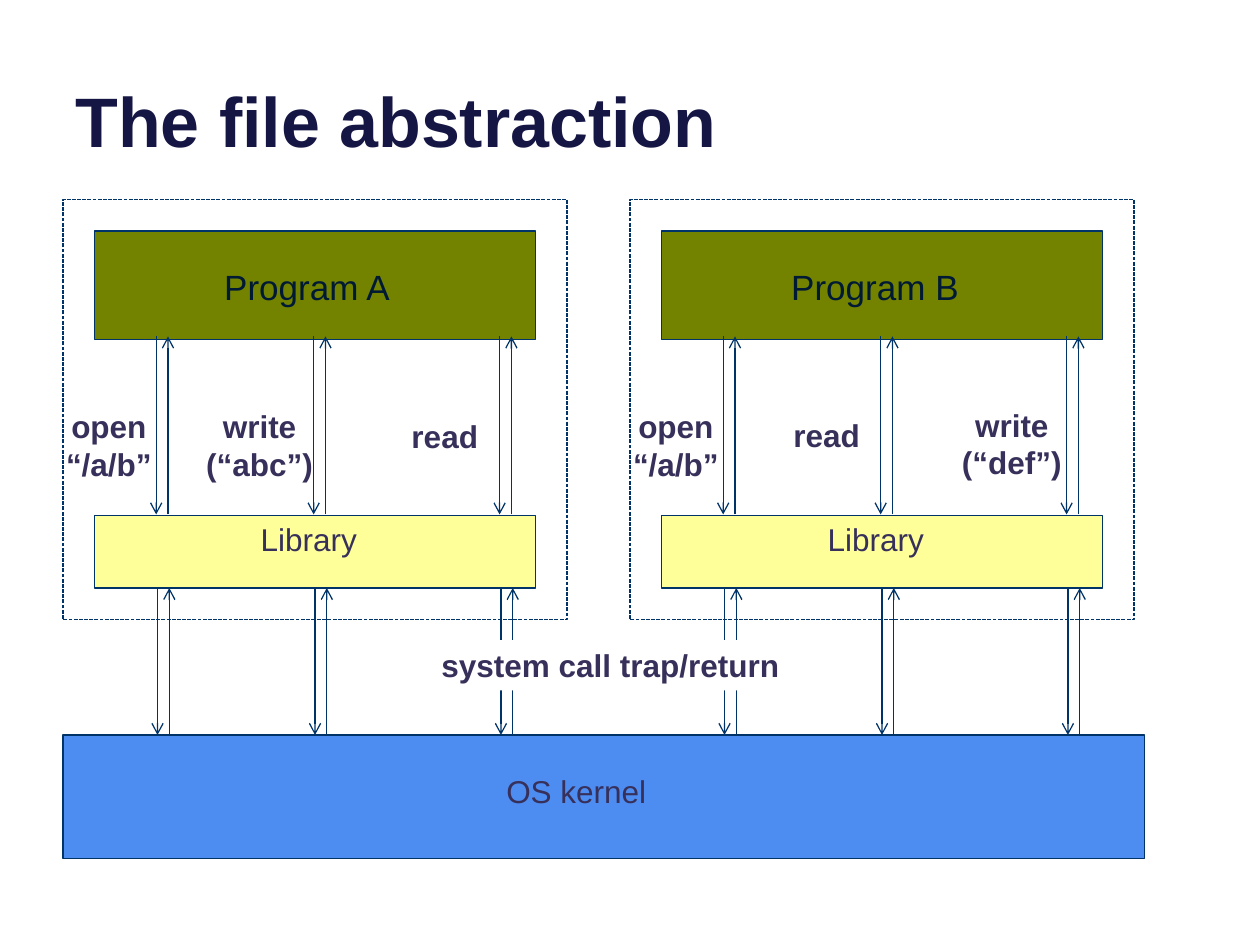
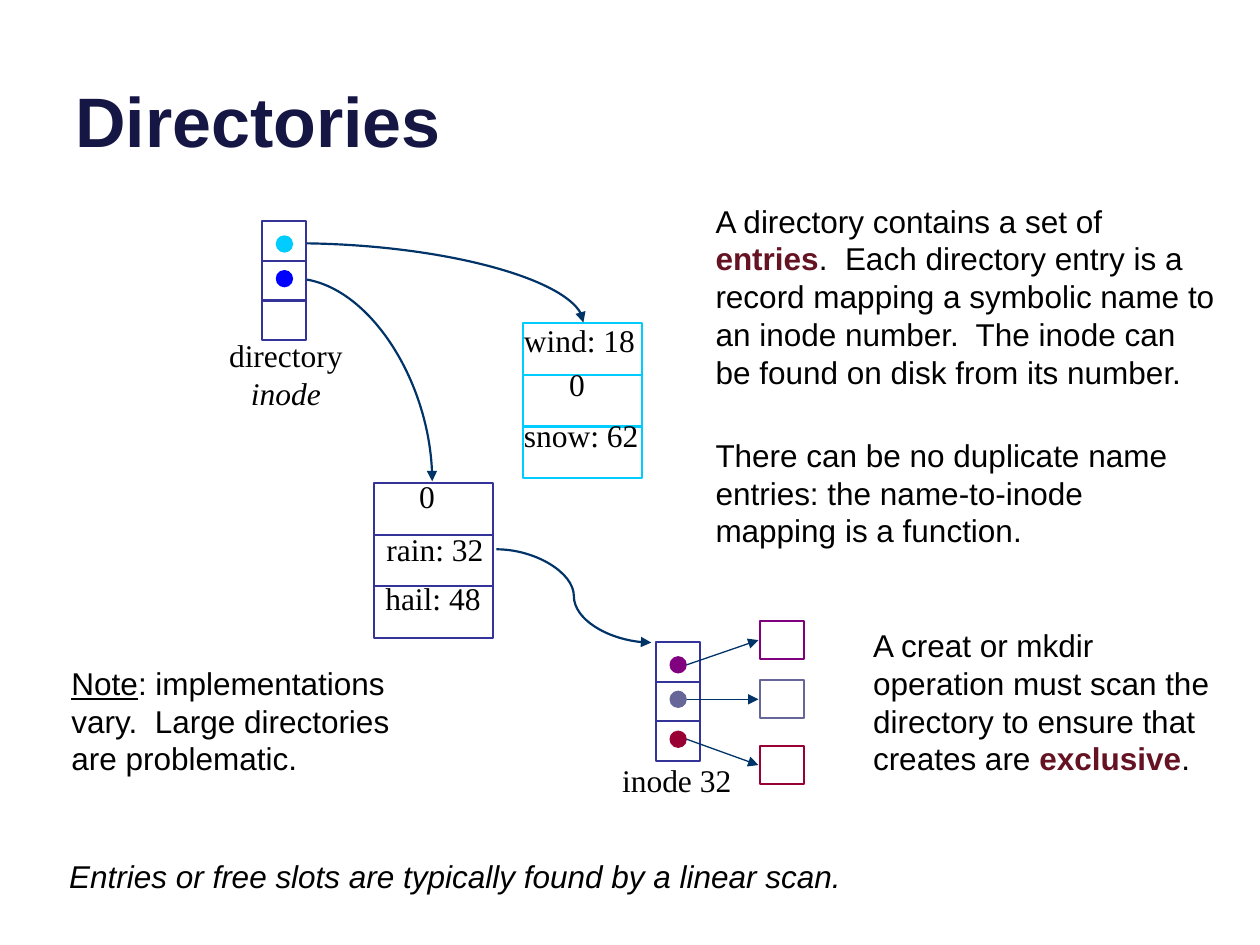
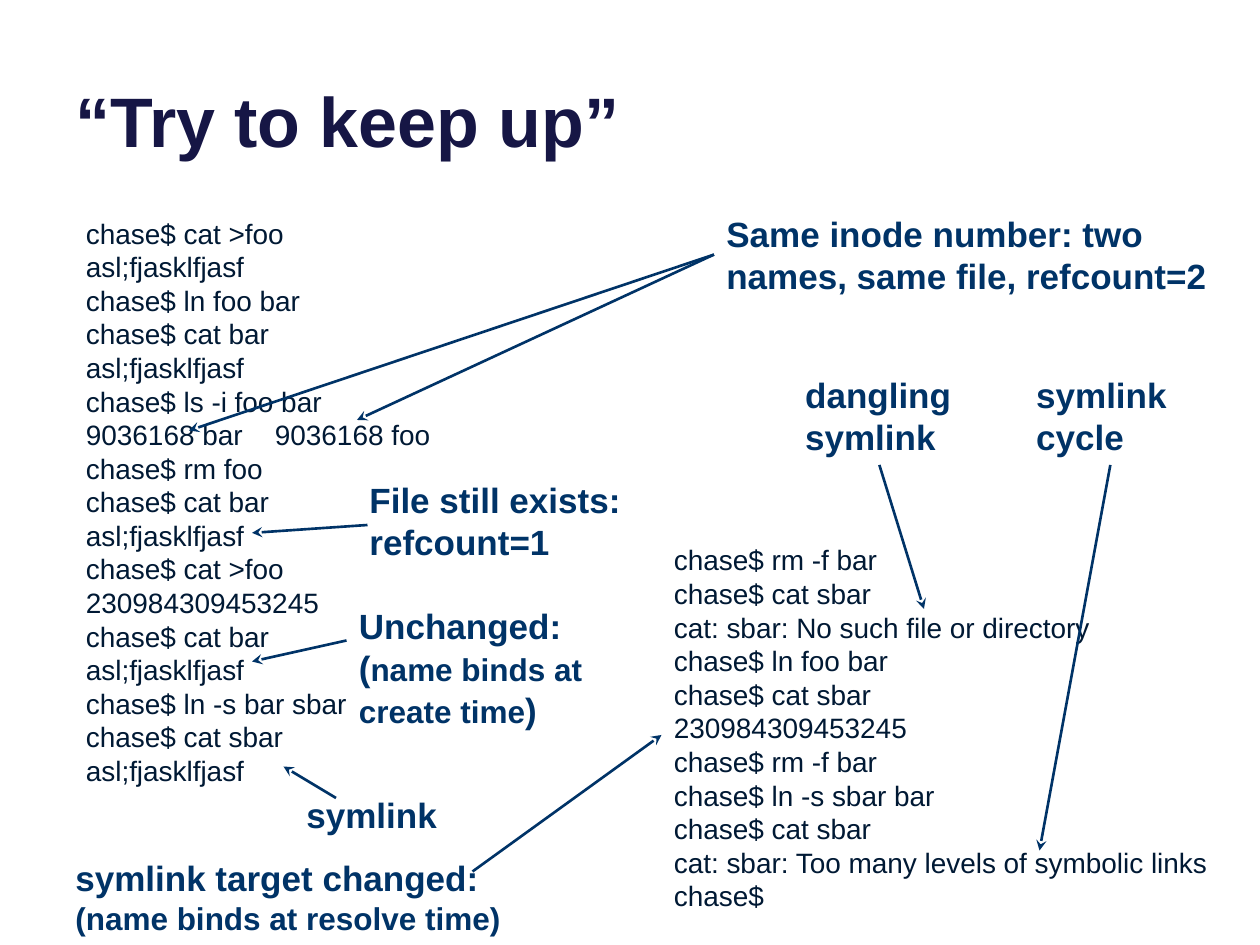
from typing import NamedTuple, Optional

from lxml import etree
from pptx import Presentation
from pptx.dml import color as dml_color
from pptx.enum import dml, shapes, text
from pptx.oxml import ns
from pptx.util import Pt

# Shared look
NAVY, TITLE, INK, LABEL = "003367", "161645", "001934", "37305A"
BLACK, WHITE, EMPHASIS = "000000", "FFFFFF", "651222"
OLIVE, YELLOW, BLUE = "738300", "FFFF99", "4D8CF1"
INDIGO, CYAN = "333399", "00CCFF"
SANS, SERIF = "Arial", "Times New Roman"


class Box(NamedTuple):
    left: float
    top: float
    width: float
    height: float


class Run(NamedTuple):
    words: str
    size: Optional[float] = None
    color: Optional[str] = None
    bold: Optional[bool] = None
    italic: Optional[bool] = None
    underline: Optional[bool] = None


class Call(NamedTuple):
    lines: list
    label: Box
    arrow_x: float


class Program(NamedTuple):
    name: str
    left: float
    calls: list


class Entry(NamedTuple):
    words: str
    left: float
    top: float
    width: float


class Block(NamedTuple):
    color: str
    dot_top: float
    top: float


class Callout(NamedTuple):
    paragraphs: list
    box: Box
    arrows: list


def rgb(hex_color: str) -> dml_color.RGBColor:
    return dml_color.RGBColor.from_string(hex_color)


def points(box: Box) -> list:
    return [Pt(length) for length in box]


def add_text(slide, box: Box, paragraphs: list, *, size: float = 18,
             color: str = BLACK, font: str = SANS, bold: bool = False,
             italic: bool = False, center: bool = False, wrap: bool = False,
             grow: bool = True, bottom: bool = False,
             fill: Optional[str] = None, tab: Optional[float] = None) -> None:
    """Each paragraph is a string or a list of Run; a Run overrides the format."""
    holder = slide.shapes.add_textbox(*points(box))
    if fill:
        holder.fill.solid()
        holder.fill.fore_color.rgb = rgb(fill)
    frame = holder.text_frame
    frame.word_wrap = wrap
    frame.auto_size = (text.MSO_AUTO_SIZE.SHAPE_TO_FIT_TEXT if grow
                       else text.MSO_AUTO_SIZE.NONE)
    frame.vertical_anchor = (text.MSO_ANCHOR.BOTTOM if bottom
                             else text.MSO_ANCHOR.TOP)
    for index, content in enumerate(paragraphs):
        paragraph = frame.add_paragraph() if index else frame.paragraphs[0]
        paragraph.alignment = text.PP_ALIGN.CENTER if center else text.PP_ALIGN.LEFT
        if tab:
            stops = etree.SubElement(paragraph._p.get_or_add_pPr(), ns.qn("a:tabLst"))
            etree.SubElement(stops, ns.qn("a:tab"), pos=str(Pt(tab)), algn="l")
        for part in [Run(content)] if isinstance(content, str) else content:
            run = paragraph.add_run()
            run.text = part.words
            run.font.name = font
            run.font.size = Pt(part.size or size)
            run.font.color.rgb = rgb(part.color or color)
            run.font.bold = bold if part.bold is None else part.bold
            run.font.italic = italic if part.italic is None else part.italic
            run.font.underline = part.underline


def add_box(slide, box: Box, *, fill: Optional[str] = None, line: str = NAVY,
            weight: float = 0.75, dashed: bool = False,
            kind=shapes.MSO_SHAPE.RECTANGLE) -> None:
    outline = slide.shapes.add_shape(kind, *points(box))
    outline.shadow.inherit = False
    if fill:
        outline.fill.solid()
        outline.fill.fore_color.rgb = rgb(fill)
    else:
        outline.fill.background()
    outline.line.color.rgb = rgb(line)
    outline.line.width = Pt(weight)
    if dashed:
        outline.line.dash_style = dml.MSO_LINE.SQUARE_DOT


def add_line(slide, start: tuple, end: tuple, *, color: str = NAVY,
             weight: float = 0.75, head: Optional[str] = None,
             curve: Optional[str] = None) -> None:
    kind = shapes.MSO_CONNECTOR.CURVE if curve else shapes.MSO_CONNECTOR.STRAIGHT
    link = slide.shapes.add_connector(kind, *[Pt(v) for v in (*start, *end)])
    link.line.color.rgb = rgb(color)
    link.line.width = Pt(weight)
    properties = link._element.spPr
    if curve:
        properties.find(ns.qn("a:prstGeom")).set("prst", curve)
    if head:
        etree.SubElement(properties.find(ns.qn("a:ln")), ns.qn("a:tailEnd"), type=head)
    etree.SubElement(properties, ns.qn("a:effectLst"))


def add_slide(deck, title: str):
    slide = deck.slides.add_slide(deck.slide_layouts[6])
    add_text(slide, Box(36, -26.64, 648, 122.4), [title], size=40, color=TITLE,
             bold=True, wrap=True, grow=False, bottom=True)
    return slide


# Slide 1: programs, library and kernel
def add_call_pair(slide, x: float, top: float, bottom: float) -> None:
    back = x + 6.75
    add_line(slide, (x, top), (x, bottom), head="arrow")
    add_line(slide, (back, bottom), (back, top), head="arrow")


def add_program(slide, program: Program) -> None:
    left = program.left
    add_box(slide, Box(left + 18, 294.5, 252, 41.5), fill=YELLOW)
    add_box(slide, Box(left + 18, 132, 252, 62), fill=OLIVE)
    add_text(slide, Box(left + 105.84, 293.76, 88.5, 36), ["Library"], color=LABEL)
    add_text(slide, Box(left + 85, 148.3, 111.5, 31.5), [program.name],
             size=20, color=INK)
    add_box(slide, Box(left, 114, 288, 240), dashed=True)
    for call in program.calls:
        add_call_pair(slide, call.arrow_x, 192.25, 294)
        add_call_pair(slide, call.arrow_x + 0.75, 336, 420)
        add_text(slide, call.label, call.lines, color=LABEL, bold=True, center=True)


def build_file_abstraction(deck) -> None:
    slide = add_slide(deck, "The file abstraction")
    add_box(slide, Box(36, 420, 618, 70.5), fill=BLUE)
    add_text(slide, Box(282.24, 437.76, 122.5, 36), ["OS kernel"], color=LABEL)
    programs = [
        Program("Program A", 36, [
            Call(["open", "“/a/b”"], Box(30.24, 229, 64, 51), 89.25),
            Call(["write", "(“abc”)"], Box(110.2, 229, 76.3, 51), 179.25),
            Call(["read"], Box(227.5, 234.7, 53.3, 28.8), 285.5)]),
        Program("Program B", 360, [
            Call(["open", "“/a/b”"], Box(354.24, 229, 64, 51), 413.25),
            Call(["read"], Box(445.7, 234, 53.3, 28.8), 503.25),
            Call(["write", "(“def”)"], Box(542.2, 228.2, 72, 51), 609.5)]),
    ]
    for program in programs:
        add_program(slide, program)
    add_text(slide, Box(244, 365.8, 209.5, 28.8), ["system call trap/return"],
             color=LABEL, bold=True, center=True, fill=WHITE)


# Slide 2: directory and inode structures
def add_stack(slide, left: float, top: float, width: float, row: float,
              color: str) -> None:
    add_box(slide, Box(left, top, width, 3 * row), fill=WHITE, line=color, weight=1.25)
    for y in (top + row, top + 2 * row):
        add_line(slide, (left, y), (left + width, y), color=color, weight=1.25)


def add_dot(slide, left: float, top: float, color: str) -> None:
    add_box(slide, Box(left, top, 8.64, 8.64), fill=color, line=color, weight=1.25,
            kind=shapes.MSO_SHAPE.OVAL)


def build_directories(deck) -> None:
    slide = add_slide(deck, "Directories")

    # Directory data blocks
    add_stack(slide, 213.75, 276, 68, 29.5, INDIGO)
    add_stack(slide, 299, 184.75, 68, 29.5, CYAN)
    entries = [
        Entry("0", 232.5, 269.3, 23.8), Entry("rain: 32", 213.8, 299.5, 69.8),
        Entry("hail: 48", 213.1, 327.6, 69.1), Entry("0", 318.2, 205.2, 23.8),
        Entry("wind: 18", 292.3, 180, 77.8), Entry("snow: 62", 292.3, 234, 79.9),
    ]
    for entry in entries:
        add_text(slide, Box(entry.left, entry.top, entry.width, 28.8),
                 [entry.words], font=SERIF)

    # Pointers
    pointers = [((167, 139), (333.4, 184.3), "curvedConnector2"),
                ((167.8, 159.1), (247, 275), "curvedConnector2"),
                ((283.7, 313.9), (372.2, 367.2), "curvedConnector3")]
    for start, end, curve in pointers:
        add_line(slide, start, end, weight=1.25, head="triangle", curve=curve)

    # Directory inode
    add_stack(slide, 149.75, 126.5, 25.25, 22.6, INDIGO)
    add_dot(slide, 158.2, 135.1, CYAN)
    add_dot(slide, 158.2, 154.9, "0000FF")
    add_text(slide, Box(123.8, 188.6, 79.2, 50.4),
             ["directory", [Run("inode", italic=True)]], font=SERIF, center=True)

    # File inode and its blocks
    add_stack(slide, 374.75, 367, 25.25, 22.6, INDIGO)
    blocks = [Block("800080", 375.6, 355), Block("666699", 395.3, 388.8),
              Block("990033", 418.1, 426.4)]
    for block in blocks:
        add_dot(slide, 383.2, block.dot_top, block.color)
        add_box(slide, Box(434.2, block.top, 25.25, 21.6), fill=WHITE,
                line=block.color, weight=1.25)
        add_line(slide, (392.4, block.dot_top + 4.32), (433.4, block.top + 10.8),
                 head="triangle")
    add_text(slide, Box(347.8, 431.3, 77.8, 28.8), ["inode 32"],
             font=SERIF, center=True)

    # Explanations
    add_text(slide, Box(32.4, 486, 464.4, 28.8),
             ["Entries or free slots are typically found by a linear scan."], italic=True)
    explanations = [
        (Box(33.8, 375.8, 197.3, 72.7),
         [Run("Note", underline=True),
          Run(": implementations vary.  Large directories are problematic.")]),
        (Box(491.8, 354.2, 210.2, 94.3),
         [Run("A creat or mkdir operation must scan the directory to ensure "
              "that creates are "),
          Run("exclusive", color=EMPHASIS, bold=True), Run(".")]),
        (Box(401.8, 245.5, 275.8, 72.7),
         "There can be no duplicate name entries: the name-to-inode mapping "
         "is a function."),
        (Box(401.8, 111.6, 300.2, 116.6),
         [Run("A directory contains a set of "),
          Run("entries", color=EMPHASIS, bold=True),
          Run(".  Each directory entry is a record mapping a symbolic name to an "
              "inode number.  The inode can be found on disk from its number.")]),
    ]
    for box, paragraph in explanations:
        add_text(slide, box, [paragraph], wrap=True)


# Slide 3: shell sessions with callouts
FIRST_SESSION = """chase$ cat >foo
asl;fjasklfjasf
chase$ ln foo bar
chase$ cat bar
asl;fjasklfjasf
chase$ ls -i foo bar
9036168 bar\t9036168 foo
chase$ rm foo
chase$ cat bar
asl;fjasklfjasf
chase$ cat >foo
230984309453245
chase$ cat bar
asl;fjasklfjasf
chase$ ln -s bar sbar
chase$ cat sbar
asl;fjasklfjasf"""

SECOND_SESSION = """chase$ rm -f bar
chase$ cat sbar
cat: sbar: No such file or directory
chase$ ln foo bar
chase$ cat sbar
230984309453245
chase$ rm -f bar
chase$ ln -s sbar bar
chase$ cat sbar
cat: sbar: Too many levels of symbolic links
chase$"""


def build_try_to_keep_up(deck) -> None:
    slide = add_slide(deck, "“Try to keep up”")
    for session, box in ((FIRST_SESSION, Box(42, 120, 360, 337)),
                         (SECOND_SESSION, Box(378, 306.75, 360, 269.3))):
        add_text(slide, box, session.split("\n"), size=16, color=INK,
                 wrap=True, tab=108)

    callouts = [
        Callout(["Same inode number: two names, same file, refcount=2"],
                Box(408, 118.1, 294, 55.5),
                [((408, 145.5), (108, 246)), ((408, 145.5), (204, 240))]),
        Callout(["dangling symlink"], Box(453, 210, 99, 55.5),
                [((502.5, 265.7), (528, 348))]),
        Callout(["symlink", "cycle"], Box(585, 210, 99, 55.5),
                [((634.5, 265.7), (594, 486))]),
        Callout(["File still exists: refcount=1"], Box(204, 270, 168, 55.5),
                [((210, 300), (144, 304.5))]),
        Callout([[Run("Unchanged: ("), Run("name binds at create time", size=18),
                  Run(")")]], Box(198, 342, 168, 80),
                [((198, 366), (144, 378))]),
        Callout(["symlink"], Box(168, 450, 168, 31.5),
                [((192, 456), (162, 438))]),
        Callout(["symlink target changed:",
                 [Run("(name binds at resolve time)", size=18)]],
                Box(36, 486, 294, 53.3), [((270, 498), (378, 420))]),
    ]
    for callout in callouts:
        for start, end in callout.arrows:
            add_line(slide, start, end, weight=1.5, head="stealth")
        add_text(slide, callout.box, callout.paragraphs, size=20, color=NAVY,
                 bold=True, wrap=True)


def main() -> None:
    deck = Presentation()
    deck.slide_width, deck.slide_height = Pt(720), Pt(540)
    build_file_abstraction(deck)
    build_directories(deck)
    build_try_to_keep_up(deck)
    deck.save("out.pptx")


if __name__ == "__main__":
    main()
